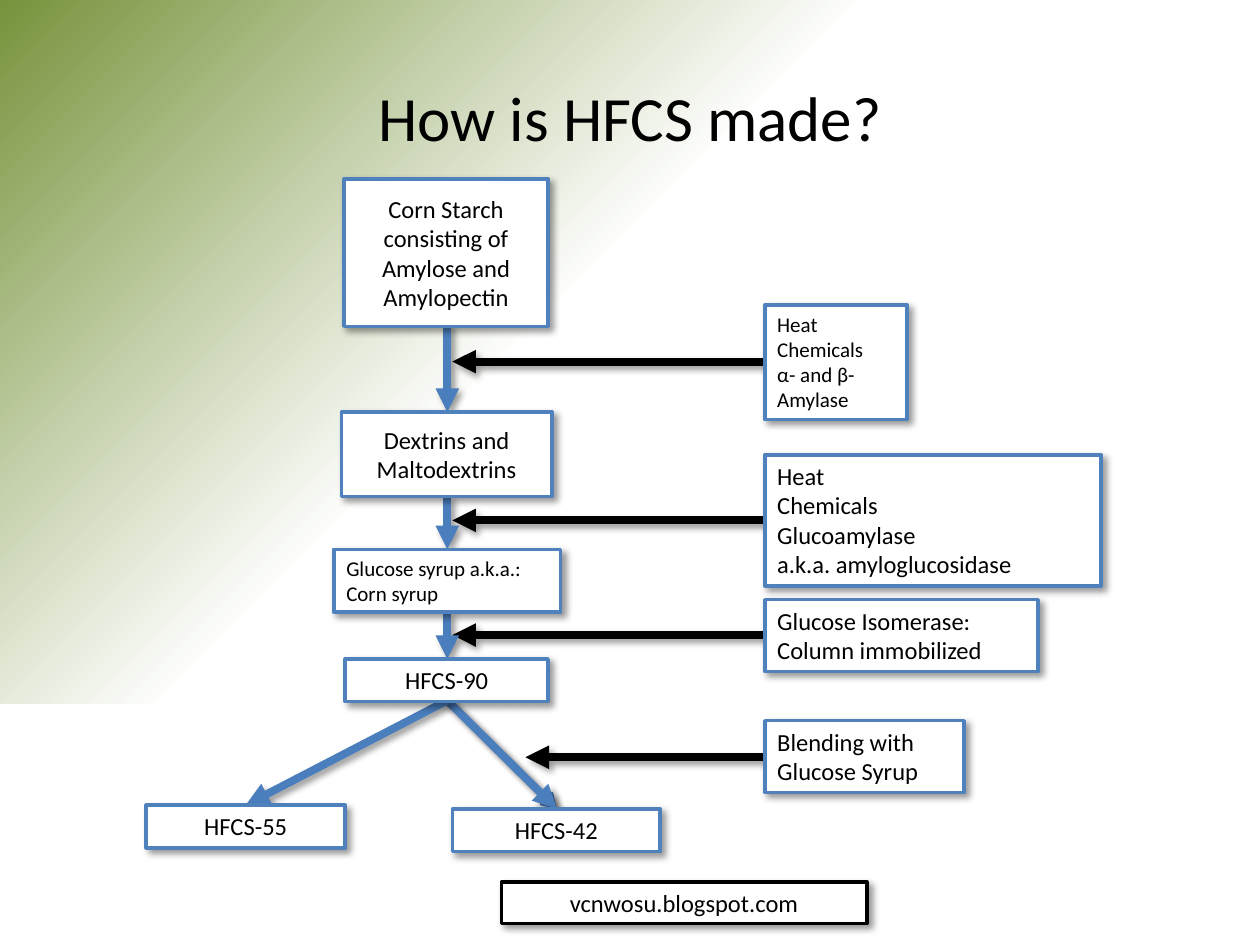
"""Build the slide that shows how HFCS is made as a flow chart."""
from lxml import etree
from pptx import Presentation
from pptx.dml.color import RGBColor
from pptx.enum.shapes import MSO_CONNECTOR, MSO_SHAPE
from pptx.enum.text import MSO_ANCHOR, MSO_AUTO_SIZE, PP_ALIGN
from pptx.oxml import parse_xml
from pptx.oxml.ns import nsdecls, qn
from pptx.util import Inches, Pt

RECTANGLE = MSO_SHAPE.RECTANGLE
STRAIGHT = MSO_CONNECTOR.STRAIGHT
TOP, MIDDLE = MSO_ANCHOR.TOP, MSO_ANCHOR.MIDDLE
LEFT, CENTER = PP_ALIGN.LEFT, PP_ALIGN.CENTER
GROW, FIXED = MSO_AUTO_SIZE.SHAPE_TO_FIT_TEXT, MSO_AUTO_SIZE.NONE

FONT = "Calibri"
COLORS = {
    "text": "000000",
    "white": "FFFFFF",
    "green": "77933C",
    "border": "4F81BD",
    "flow": "4B7EBC",
    "input": "000000",
}
FLOW_X = 3.55
INPUT_X = 6.07

STEPS = [
    ((2.73, 1.42, 1.62, 1.17), ["Corn Starch consisting of Amylose and Amylopectin"],
     {"anchor": MIDDLE, "auto_size": FIXED}),
    ((2.71, 3.27, 1.67, 0.67), ["Dextrins and Maltodextrins"],
     {"anchor": MIDDLE, "auto_size": FIXED}),
    ((2.65, 4.36, 1.8, 0.5), ["Glucose syrup a.k.a.: Corn syrup"],
     {"alignment": LEFT, "size": 12}),
    ((2.74, 5.23, 1.61, 0.34), ["HFCS-90"], {}),
    ((1.16, 6.39, 1.58, 0.34), ["HFCS-55"], {}),
    ((3.59, 6.42, 1.65, 0.34), ["HFCS-42"], {}),
]
INPUTS = [
    ((2.42, 1.13, 0.91), ["Heat", "Chemicals", "α- and β-Amylase"], 12),
    ((3.61, 2.67, 1.04),
     ["Heat", "Chemicals", "Glucoamylase", "a.k.a. amyloglucosidase"], 14),
    ((4.76, 2.17, 0.57), ["Glucose Isomerase: Column immobilized"], 14),
    ((5.72, 1.58, 0.57), ["Blending with Glucose Syrup"], 14),
]
INPUT_ARROWS = [(6.01, 4.17), (5.04, 3.59), (4.13, 3.59), (2.87, 3.59)]
FLOW_ARROWS = [(2.58, 3.27), (3.94, 4.36), (4.86, 5.23)]
SPLIT_Y = 5.56
SPLIT_ARROWS = [
    ((4.42, 6.42), 3, "arrow"),
    ((4.42, 6.42), 4.5, "triangle"),
    ((1.95, 6.39), 4.5, "triangle"),
]


def color(name):
    """Return the named palette colour."""
    return RGBColor.from_string(COLORS[name])


def add_shadow(shape):
    """Give a box or an arrow the soft diagonal shadow."""
    properties = shape._element.spPr
    properties.append(parse_xml(
        f'<a:effectLst {nsdecls("a")}>'
        '<a:outerShdw blurRad="50800" dist="38100" dir="2700000" algn="tl" rotWithShape="0">'
        '<a:srgbClr val="000000"><a:alpha val="40000"/></a:srgbClr>'
        '</a:outerShdw></a:effectLst>'))


def write_text(shape, lines, size, alignment, anchor, auto_size=FIXED):
    """Write the lines as paragraphs of one format."""
    frame = shape.text_frame
    frame_format = {"word_wrap": True, "vertical_anchor": anchor, "auto_size": auto_size}
    for name, value in frame_format.items():
        setattr(frame, name, value)
    font_format = {"name": FONT, "size": Pt(size)}
    for index, line in enumerate(lines):
        paragraph = frame.paragraphs[0] if index == 0 else frame.add_paragraph()
        paragraph.text = line
        paragraph.alignment = alignment
        for name, value in font_format.items():
            setattr(paragraph.font, name, value)
        paragraph.font.color.rgb = color("text")


def add_corner_gradient(slide):
    """Draw the green glow that spreads from the top left corner."""
    shape = slide.shapes.add_shape(RECTANGLE, 0, 0, Inches(8), Inches(5.58))
    shape.shadow.inherit = False
    shape.line.fill.background()
    stops = "".join(
        f'<a:gs pos="{position}"><a:srgbClr val="{COLORS[name]}"/></a:gs>'
        for position, name in [(0, "green"), (51000, "white"), (100000, "white")])
    properties = shape._element.spPr
    properties.find(qn("a:prstGeom")).addnext(parse_xml(
        f'<a:gradFill {nsdecls("a")} rotWithShape="1"><a:gsLst>{stops}</a:gsLst>'
        '<a:path path="circle"><a:fillToRect r="100000" b="100000"/></a:path>'
        '</a:gradFill>'))


def add_title(slide, text):
    """Add the centred slide title."""
    title = slide.shapes.add_textbox(Inches(0.5), Inches(0.3), Inches(9), Inches(1.25))
    write_text(title, [text], 36, CENTER, MIDDLE)


def add_box(slide, place, lines, size=14, alignment=CENTER, anchor=TOP,
            auto_size=GROW, border="border"):
    """Add a white bordered box with text."""
    box = slide.shapes.add_shape(RECTANGLE, *map(Inches, place))
    box.fill.solid()
    box.fill.fore_color.rgb = color("white")
    box.line.color.rgb = color(border)
    box.line.width = Pt(2)
    add_shadow(box)
    write_text(box, lines, size, alignment, anchor, auto_size)


def add_arrow(slide, start, end, color_name, width=4.5, head="triangle"):
    """Add a straight arrow from start to end."""
    arrow = slide.shapes.add_connector(STRAIGHT, *map(Inches, (*start, *end)))
    arrow.line.color.rgb = color(color_name)
    arrow.line.width = Pt(width)
    line = arrow._element.spPr.find(qn("a:ln"))
    etree.SubElement(line, qn("a:tailEnd"), type=head)
    add_shadow(arrow)


def main():
    """Build and save the presentation."""
    presentation = Presentation()
    presentation.slide_width = Inches(10)
    presentation.slide_height = Inches(7.5)
    slide = presentation.slides.add_slide(presentation.slide_layouts[6])

    add_corner_gradient(slide)
    for y, tip in INPUT_ARROWS:
        add_arrow(slide, (INPUT_X, y), (tip, y), "input")
    add_title(slide, "How is HFCS made?")
    for top, bottom in FLOW_ARROWS:
        add_arrow(slide, (FLOW_X, top), (FLOW_X, bottom), "flow")
    for end, width, head in SPLIT_ARROWS:
        add_arrow(slide, (FLOW_X, SPLIT_Y), end, "flow", width, head)
    add_box(slide, (3.98, 7, 2.9, 0.33), ["vcnwosu.blogspot.com"],
            anchor=MIDDLE, auto_size=FIXED, border="input")
    for place, lines, size in INPUTS:
        add_box(slide, (INPUT_X, *place), lines, size, LEFT)
    for place, lines, options in STEPS:
        add_box(slide, place, lines, **options)

    presentation.save("out.pptx")


if __name__ == "__main__":
    main()
